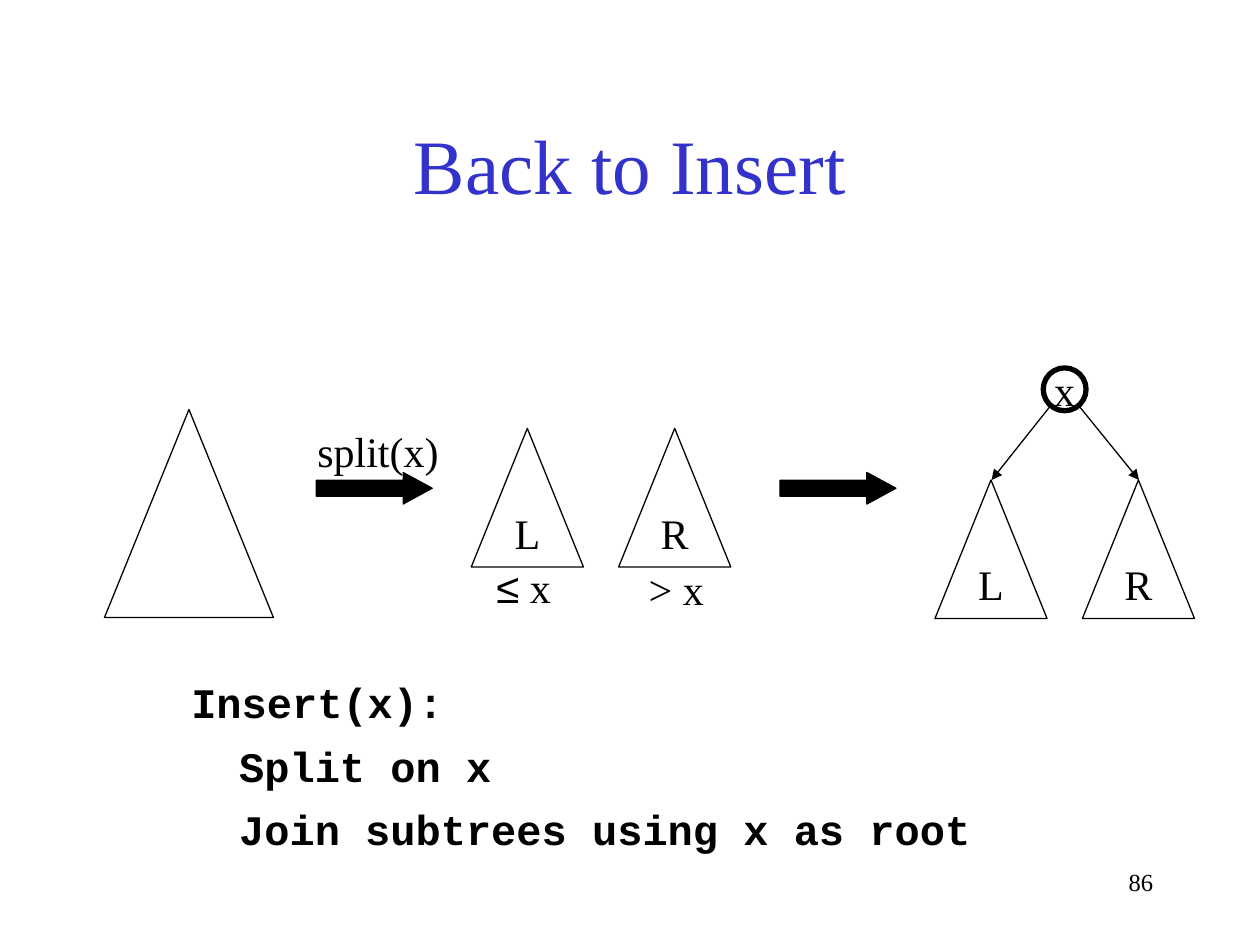
from dataclasses import dataclass
from lxml import etree
from pptx import Presentation
from pptx.dml.color import RGBColor
from pptx.enum.shapes import MSO_CONNECTOR, MSO_SHAPE
from pptx.enum.text import MSO_ANCHOR, PP_ALIGN
from pptx.oxml.ns import qn
from pptx.util import Inches, Pt

TRIANGLE, ARROW, OVAL = MSO_SHAPE.ISOSCELES_TRIANGLE, MSO_SHAPE.RIGHT_ARROW, MSO_SHAPE.OVAL
LEFT, CENTER, RIGHT = PP_ALIGN.LEFT, PP_ALIGN.CENTER, PP_ALIGN.RIGHT
TOP, MIDDLE = MSO_ANCHOR.TOP, MSO_ANCHOR.MIDDLE


@dataclass(frozen=True)
class Theme:
    ink: RGBColor = RGBColor(0, 0, 0)
    accent: RGBColor = RGBColor(0x33, 0x33, 0xCC)
    serif: str = "Times New Roman"
    sans: str = "Arial"
    mono: str = "Courier New"
    title: int = 44
    body: int = 24
    small: int = 14
    thin: float = 0.75
    thick: int = 3


theme = Theme()
deck = Presentation()
deck.slide_width, deck.slide_height = Inches(10), Inches(7.5)
page = deck.slides.add_slide(deck.slide_layouts[6])


def write(box, spans, align=LEFT, anchor=TOP, size=theme.body, color=theme.ink, wrap=False):
    """Fill the first paragraph of a box with (text, font name) spans."""
    frame = box.text_frame
    frame.word_wrap, frame.vertical_anchor = wrap, anchor
    para = frame.paragraphs[0]
    para.alignment = align
    for text, font in spans:
        span = para.add_run()
        span.text = text
        span.font.name, span.font.size = font, Pt(size)
        span.font.color.rgb = color


def draw(kind, left, top, width, height, label="", filled=False, weight=theme.thin):
    """Add an outlined shape, optionally filled and labelled."""
    shape = page.shapes.add_shape(kind, *map(Inches, (left, top, width, height)))
    shape.shadow.inherit = False
    if filled:
        shape.fill.solid()
        shape.fill.fore_color.rgb = theme.ink
    else:
        shape.fill.background()
    shape.line.color.rgb, shape.line.width = theme.ink, Pt(weight)
    if label:
        write(shape, [(label, theme.serif)], CENTER, MIDDLE)
    return shape


# Title and page number
title = page.shapes.add_textbox(*map(Inches, (0.75, 0.67, 8.5, 1.25)))
write(title, [("Back to Insert", theme.serif)], CENTER, MIDDLE, theme.title, theme.accent, True)
number = page.shapes.add_textbox(*map(Inches, (7.17, 6.83, 2.08, 0.5)))
write(number, [("86", theme.serif)], RIGHT, size=theme.small, wrap=True)

# Whole tree and the two step arrows
draw(TRIANGLE, 0.83, 3.25, 1.34, 1.65)
for left in (2.51, 6.19):
    arrow = draw(ARROW, left, 3.75, 0.92, 0.25, filled=True)
    arrow.adjustments[0], arrow.adjustments[1] = 0.5, 0.92

# Split pair, then the same pair joined under the root
subtree_width, subtree_height, subtree_step = 0.89, 1.1, 1.17
for pair_left, pair_top in ((3.74, 3.4), (7.42, 3.81)):
    for column, label in enumerate("LR"):
        draw(TRIANGLE, pair_left + column * subtree_step, pair_top,
             subtree_width, subtree_height, label)

draw(OVAL, 8.28, 2.92, 0.34, 0.34, "x", weight=theme.thick)
for start, end in ((8.33, 7.87), (8.57, 9.04)):
    edge = page.shapes.add_connector(MSO_CONNECTOR.STRAIGHT, *map(Inches, (start, 3.23, end, 3.81)))
    edge.line.color.rgb, edge.line.width = theme.ink, Pt(theme.thin)
    etree.SubElement(edge.line._get_or_add_ln(), qn("a:tailEnd"), type="triangle")
    etree.SubElement(edge._element.spPr, qn("a:effectLst"))

# Captions
captions = (
    (2.42, 3.33, 1.16, [("split(x)", theme.serif)]),
    (3.84, 4.41, 0.71, [("≤", theme.sans), (" x", theme.serif)]),
    (5.05, 4.42, 0.64, [("> x", theme.serif)]),
)
for left, top, width, spans in captions:
    write(page.shapes.add_textbox(*map(Inches, (left, top, width, 0.5))), spans)

# Algorithm
steps = page.shapes.add_textbox(*map(Inches, (1.42, 5.25, 6.5, 1.83)))
frame = steps.text_frame
frame.word_wrap, frame.margin_top = True, Inches(0.12)
for row, text in enumerate(("Insert(x):", "Split on x", "Join subtrees using x as root")):
    para = frame.add_paragraph() if row else frame.paragraphs[0]
    if row:
        para.space_before = Pt(7.5)
        para._p.get_or_add_pPr().set("marL", str(Inches(0.38)))
    span = para.add_run()
    span.text = text
    span.font.name, span.font.size, span.font.bold = theme.mono, Pt(theme.body), True
    span.font.color.rgb = theme.ink

deck.save("out.pptx")
